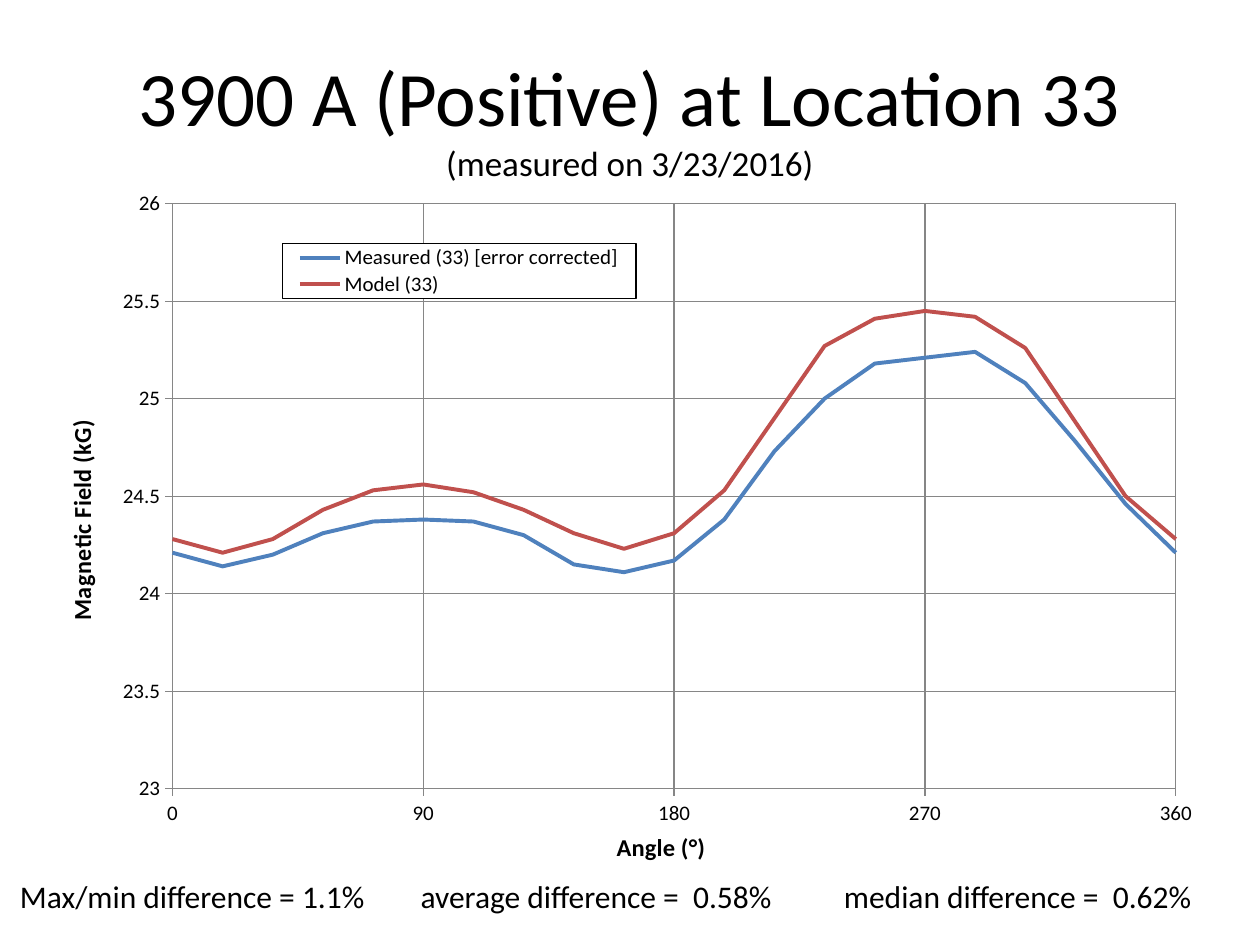
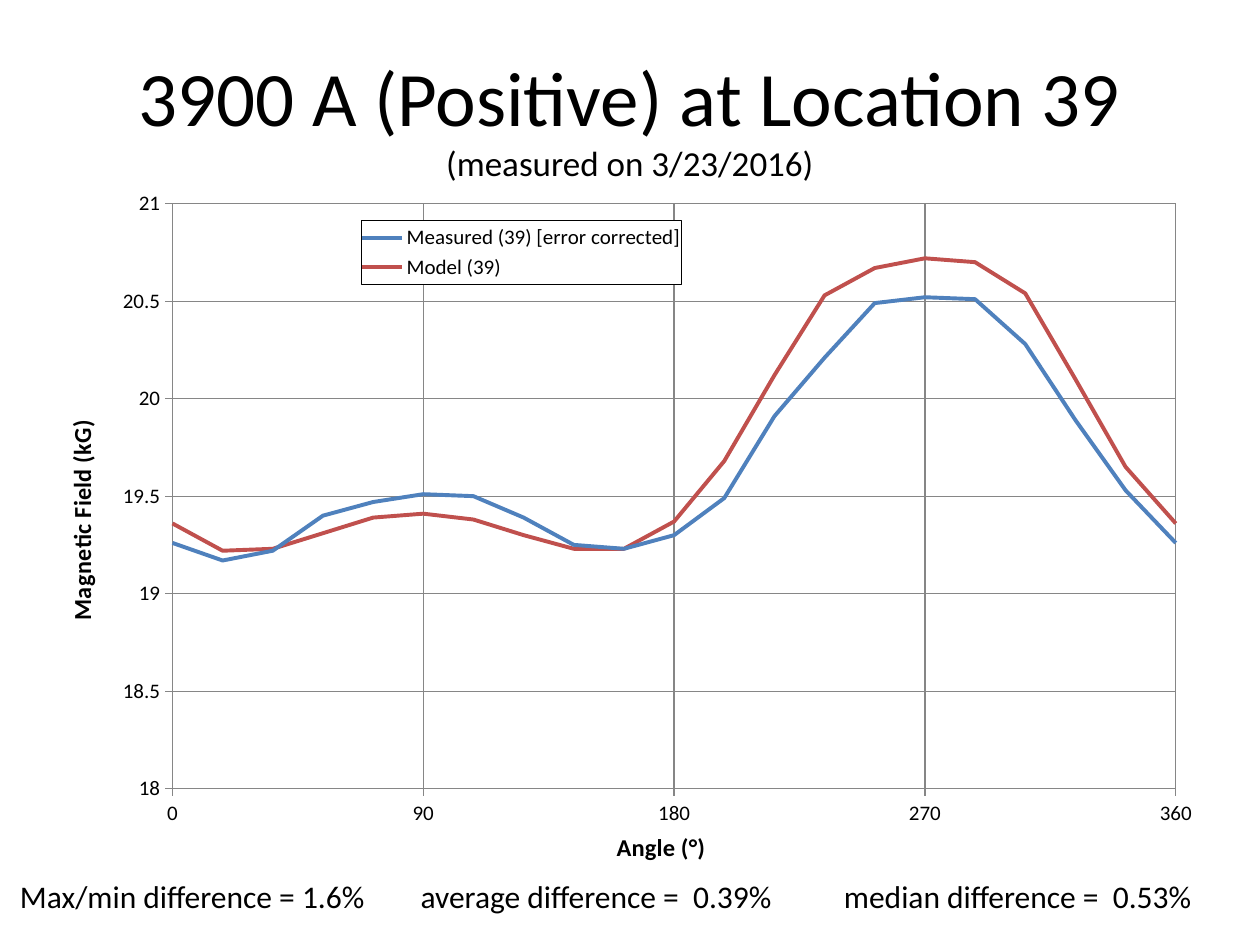
"""Build two slides comparing measured and modelled magnetic field against angle."""
from lxml import etree
from pptx import Presentation
from pptx.chart.data import XyChartData
from pptx.dml.color import RGBColor
from pptx.enum import chart as charts, text
from pptx.oxml import parse_xml
from pptx.oxml.ns import nsdecls, qn
from pptx.util import Inches, Pt

FONT = "Calibri"
COLORS = {"ink": "000000", "grid": "868686", "measured": "4F81BD", "model": "C0504D"}
DATE = "(measured on 3/23/2016)"
ANGLE_STEP = 18
TAB_STOPS = (3.18, 6.54)
PLOT_AREA = (0.117, 0.022, 0.84, 0.872)
ANGLE_TITLE = ("Angle (°)", (0.485, 0.95))
FIELD_TITLE = ("Magnetic Field (kG)", (0.023, 0.342))

SLIDES = [
    {
        "location": 33,
        "range": (23, 26),
        "legend": (0.209, 0.081, 0.296, 0.082),
        "differences": ("1.1%", "0.58%", "0.62%"),
        "measured": [24.21, 24.14, 24.20, 24.31, 24.37, 24.38, 24.37, 24.30, 24.15, 24.11, 24.17,
                     24.38, 24.73, 25.00, 25.18, 25.21, 25.24, 25.08, 24.78, 24.46, 24.21],
        "model": [24.28, 24.21, 24.28, 24.43, 24.53, 24.56, 24.52, 24.43, 24.31, 24.23, 24.31,
                  24.53, 24.90, 25.27, 25.41, 25.45, 25.42, 25.26, 24.88, 24.50, 24.28],
    },
    {
        "location": 39,
        "range": (18, 21),
        "legend": (0.275, 0.047, 0.268, 0.095),
        "differences": ("1.6%", "0.39%", "0.53%"),
        "measured": [19.26, 19.17, 19.22, 19.40, 19.47, 19.51, 19.50, 19.39, 19.25, 19.23, 19.30,
                     19.49, 19.91, 20.21, 20.49, 20.52, 20.51, 20.28, 19.89, 19.53, 19.26],
        "model": [19.36, 19.22, 19.23, 19.31, 19.39, 19.41, 19.38, 19.30, 19.23, 19.23, 19.37,
                  19.68, 20.12, 20.53, 20.67, 20.72, 20.70, 20.54, 20.10, 19.65, 19.36],
    },
]


def color(name):
    return RGBColor.from_string(COLORS[name])


def style(font, size, bold=False):
    font.name, font.size, font.bold = FONT, Pt(size), bold
    font.color.rgb = color("ink")


def add_span(para, words, size):
    span = para.add_run()
    span.text = words
    style(span.font, size)


def set_layout(element, after, place, inner=False):
    """Place a chart part by fractions of the chart's width and height."""
    for old in element.findall(qn("c:layout")):
        element.remove(old)
    layout = parse_xml(f"<c:layout {nsdecls('c')}><c:manualLayout/></c:layout>")
    rules = [("layoutTarget", "inner")] if inner else []
    rules += [("xMode", "edge"), ("yMode", "edge"), *zip("xywh", place)]
    for tag, value in rules:
        etree.SubElement(layout[0], qn(f"c:{tag}")).set("val", str(value))
    if after:
        element.find(qn(after)).addnext(layout)
    else:
        element.insert(0, layout)


def format_axis(axis, low, high, step, title):
    axis.minimum_scale, axis.maximum_scale, axis.major_unit = low, high, step
    axis.major_tick_mark = charts.XL_TICK_MARK.OUTSIDE
    axis.minor_tick_mark = charts.XL_TICK_MARK.NONE
    axis.has_major_gridlines = True
    for line in (axis.format.line, axis.major_gridlines.format.line):
        line.color.rgb = color("grid")
        line.width = Pt(0.75)
    style(axis.tick_labels.font, 12)
    axis.tick_labels.number_format = "General"
    axis.tick_labels.number_format_is_linked = False
    words, place = title
    para = axis.axis_title.text_frame.paragraphs[0]
    add_span(para, words, 14)
    para.runs[0].font.bold = True
    set_layout(axis.axis_title._element, "c:tx", place)


def format_legend(chart, place):
    chart.has_legend = True
    legend = chart.legend
    legend.position = charts.XL_LEGEND_POSITION.RIGHT
    legend.include_in_layout = False
    style(legend.font, 12)
    set_layout(legend._element, "c:legendPos", place)
    legend._element.find(qn("c:overlay")).addnext(parse_xml(
        f'<c:spPr {nsdecls("c", "a")}><a:solidFill><a:srgbClr val="FFFFFF"/></a:solidFill>'
        f'<a:ln w="9525"><a:solidFill><a:srgbClr val="{COLORS["ink"]}"/></a:solidFill></a:ln></c:spPr>'))


def add_title(page, location):
    title = page.shapes.title
    title.left, title.top, title.width, title.height = map(Inches, (0.5, 0.3, 9, 1.25))
    title.text_frame.vertical_anchor = text.MSO_ANCHOR.MIDDLE
    para = title.text_frame.paragraphs[0]
    para.alignment = text.PP_ALIGN.CENTER
    add_span(para, f"3900 A (Positive) at Location {location}", 44)
    para.add_line_break()
    add_span(para, DATE, 20)


def add_differences(page, differences):
    box = page.shapes.add_textbox(*map(Inches, (0.06, 6.91, 9.94, 0.4)))
    box.text_frame.word_wrap = True
    para = box.text_frame.paragraphs[0]
    extreme, average, median = differences
    add_span(para, f"Max/min difference = {extreme}", 18)
    add_span(para, f"\taverage difference =  {average}", 18)
    add_span(para, f"\tmedian difference =  {median}", 18)
    tabs = etree.SubElement(para._p.get_or_add_pPr(), qn("a:tabLst"))
    for stop in TAB_STOPS:
        etree.SubElement(tabs, qn("a:tab"), pos=str(Inches(stop)), algn="l")


def add_field_chart(page, content):
    location = content["location"]
    names = {"measured": f"Measured ({location}) [error corrected]", "model": f"Model ({location})"}
    data = XyChartData()
    for key, name in names.items():
        series = data.add_series(name)
        for index, field in enumerate(content[key]):
            series.add_data_point(index * ANGLE_STEP, field)
    chart = page.shapes.add_chart(charts.XL_CHART_TYPE.XY_SCATTER_LINES_NO_MARKERS,
                                  *map(Inches, (0.26, 1.5, 9.48, 5.41)), data).chart
    chart.has_title = False
    style(chart.font, 10)
    plot = chart.plots[0]
    plot.vary_by_categories = False
    for key, series in zip(names, plot.series):
        series.smooth = False
        series.marker.style = charts.XL_MARKER_STYLE.NONE
        series.format.line.color.rgb = color(key)
        series.format.line.width = Pt(2.25)
    format_axis(chart.category_axis, 0, 360, 90, ANGLE_TITLE)
    format_axis(chart.value_axis, *content["range"], 0.5, FIELD_TITLE)
    format_legend(chart, content["legend"])
    set_layout(chart._chartSpace.chart.plotArea, None, PLOT_AREA, inner=True)


def main():
    deck = Presentation()
    deck.slide_width, deck.slide_height = Inches(10), Inches(7.5)
    for content in SLIDES:
        page = deck.slides.add_slide(deck.slide_layouts[5])
        add_title(page, content["location"])
        add_differences(page, content["differences"])
        add_field_chart(page, content)
    deck.save("out.pptx")


if __name__ == "__main__":
    main()
